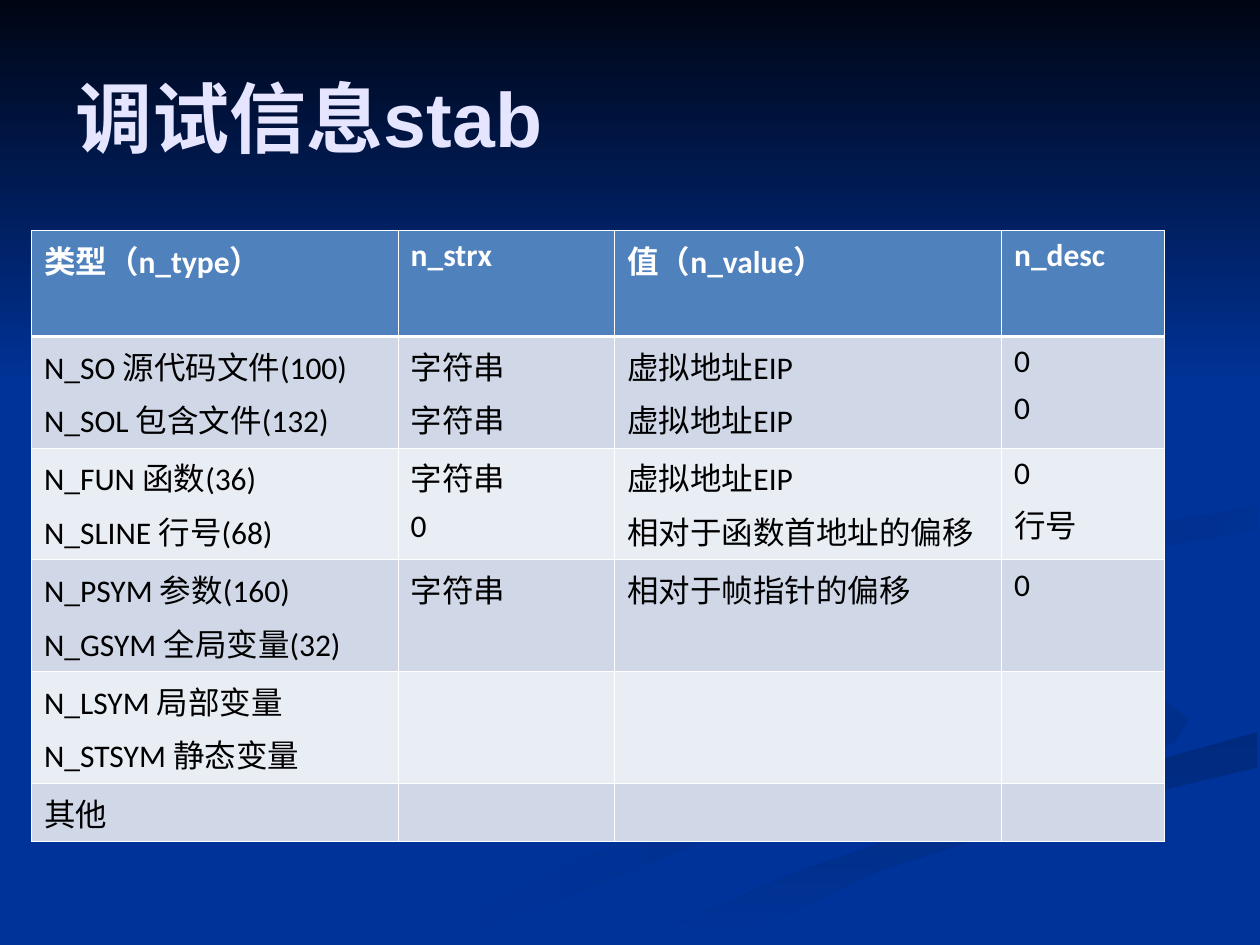
from dataclasses import dataclass

from lxml.etree import SubElement
from pptx import Presentation
from pptx.dml.color import RGBColor as Rgb
from pptx.enum.shapes import MSO_SHAPE as Preset
from pptx.enum.text import MSO_ANCHOR as Anchor, PP_ALIGN as Align
from pptx.oxml.ns import qn
from pptx.util import Inches, Pt


@dataclass(frozen=True)
class Theme:
    background: str = "003399"
    night: str = "000514"
    title: str = "E5E5FF"
    header: str = "4F81BD"
    bands: tuple = ("D0D8E8", "E9EDF4")
    white: str = "FFFFFF"
    black: str = "000000"
    title_font: str = "Arial"
    table_font: str = "Calibri"
    title_size: float = 44
    table_size: float = 18
    space_before: float = 4.5
    thin: float = 0.45
    thick: float = 1.47


@dataclass(frozen=True)
class Swirl:
    """A backdrop outline in hundredths of an inch, with its gradient."""
    start_color: str
    end_color: str
    angle: int
    points: tuple


@dataclass(frozen=True)
class Row:
    height: float
    cells: tuple


THEME = Theme()

SWIRLS = (
    Swirl(THEME.background, "002E8B", 0, (
        (781, 553), (682, 519), (575, 459), (593, 491), (756, 545), (783, 574),
        (539, 649), (300, 749), (361, 749), (564, 665), (780, 605), (800, 581))),
    Swirl(THEME.background, "002E8B", 45, (
        (943, 571), (905, 540), (774, 503), (724, 464), (755, 505), (892, 553),
        (918, 581), (894, 605), (932, 589))),
    Swirl("002A7D", THEME.background, 90, (
        (503, 749), (571, 749), (695, 692), (821, 651), (998, 609), (998, 581),
        (764, 647), (630, 693))),
    Swirl("002D86", THEME.background, 45, (
        (781, 460), (791, 478), (826, 496), (805, 472), (843, 448), (998, 420),
        (998, 402), (865, 424), (799, 442))),
    Swirl("002B82", THEME.background, 45, (
        (683, 430), (825, 402), (889, 362), (890, 324), (843, 275), (762, 233),
        (846, 279), (889, 335), (852, 374), (649, 420), (577, 462), (622, 500),
        (593, 470), (624, 444))),
)

COLUMN_WIDTHS = (2.91, 1.72, 3.07, 1.29)
ROWS = (
    Row(0.84, ("类型（n_type）", "n_strx", "值（n_value）", "n_desc")),
    Row(0.83, ("N_SO 源代码文件(100)\nN_SOL 包含文件(132)", "字符串\n字符串",
               "虚拟地址EIP\n虚拟地址EIP", "0\n0")),
    Row(0.83, ("N_FUN 函数(36)\nN_SLINE 行号(68)", "字符串\n0",
               "虚拟地址EIP\n相对于函数首地址的偏移", "0\n行号")),
    Row(0.82, ("N_PSYM 参数(160)\nN_GSYM 全局变量(32)", "字符串",
               "相对于帧指针的偏移", "0")),
    Row(0.76, ("N_LSYM 局部变量\nN_STSYM 静态变量", "", "", "")),
    Row(0.40, ("其他", "", "", "")),
)


def style_text(frame, font_name: str, size: float, color: str, bold: bool) -> None:
    for para in frame.paragraphs:
        for span in para.runs:
            font = span.font
            font.name, font.size, font.bold = font_name, Pt(size), bold
            font.color.rgb = Rgb.from_string(color)


def place_in_backdrop(page, shape, colors: tuple, angle: int) -> None:
    """Give the shape a gradient and put it behind the title."""
    shape.shadow.inherit = False
    shape.line.fill.background()
    shape.fill.gradient()
    shape.fill.gradient_angle = -angle % 360
    for stop, color in zip(shape.fill.gradient_stops, colors):
        stop.color.rgb = Rgb.from_string(color)
    page.shapes.title.element.addprevious(shape.element)


def draw_backdrop(page) -> None:
    for swirl in SWIRLS:
        first, *others = swirl.points
        builder = page.shapes.build_freeform(*first, scale=Inches(0.01))
        builder.add_line_segments(others, close=True)
        place_in_backdrop(page, builder.convert_to_shape(),
                          (swirl.start_color, swirl.end_color), swirl.angle)
    sky = page.shapes.add_shape(Preset.RECTANGLE, 0, 0, Inches(10), Inches(3.08))
    place_in_backdrop(page, sky, (THEME.night, THEME.background), 90)


def draw_title(page, text: str) -> None:
    title = page.shapes.title
    title.left, title.top, title.width, title.height = map(Inches, (0.5, 0.3, 9, 1.25))
    frame = title.text_frame
    frame.text = text
    frame.vertical_anchor = Anchor.MIDDLE
    frame.paragraphs[0].alignment = Align.LEFT
    style_text(frame, THEME.title_font, THEME.title_size, THEME.title, True)


def set_border(cell, side: str, width: float) -> None:
    properties = cell._tc.get_or_add_tcPr()
    line = SubElement(properties, qn(f"a:ln{side}"), w=str(int(Pt(width))))
    fill = SubElement(line, qn("a:solidFill"))
    SubElement(fill, qn("a:srgbClr"), val=THEME.white)


def format_cell(cell, row_index: int) -> None:
    is_header = row_index == 0
    widths = {"L": THEME.thin, "R": THEME.thin,
              "T": THEME.thick if row_index == 1 else THEME.thin,
              "B": THEME.thick if is_header else THEME.thin}
    for side, width in widths.items():
        set_border(cell, side, width)
    cell.fill.solid()
    band = THEME.header if is_header else THEME.bands[(row_index - 1) % 2]
    cell.fill.fore_color.rgb = Rgb.from_string(band)
    for para in cell.text_frame.paragraphs:
        para.space_before = Pt(THEME.space_before)
    style_text(cell.text_frame, THEME.table_font, THEME.table_size,
               THEME.white if is_header else THEME.black, is_header)


def draw_table(page) -> None:
    height = sum(row.height for row in ROWS)
    table = page.shapes.add_table(
        len(ROWS), len(COLUMN_WIDTHS), Inches(0.25), Inches(1.83),
        Inches(sum(COLUMN_WIDTHS)), Inches(height)).table
    table.horz_banding = False
    for column, width in zip(table.columns, COLUMN_WIDTHS):
        column.width = Inches(width)
    for row_index, row in enumerate(ROWS):
        table.rows[row_index].height = Inches(row.height)
        for column_index, text in enumerate(row.cells):
            cell = table.cell(row_index, column_index)
            cell.text_frame.text = text
            format_cell(cell, row_index)


def main() -> None:
    deck = Presentation()
    deck.slide_width, deck.slide_height = Inches(10), Inches(7.5)
    page = deck.slides.add_slide(deck.slide_layouts[5])
    page.background.fill.solid()
    page.background.fill.fore_color.rgb = Rgb.from_string(THEME.background)
    draw_backdrop(page)
    draw_title(page, "调试信息stab")
    draw_table(page)
    deck.save("out.pptx")


if __name__ == "__main__":
    main()
